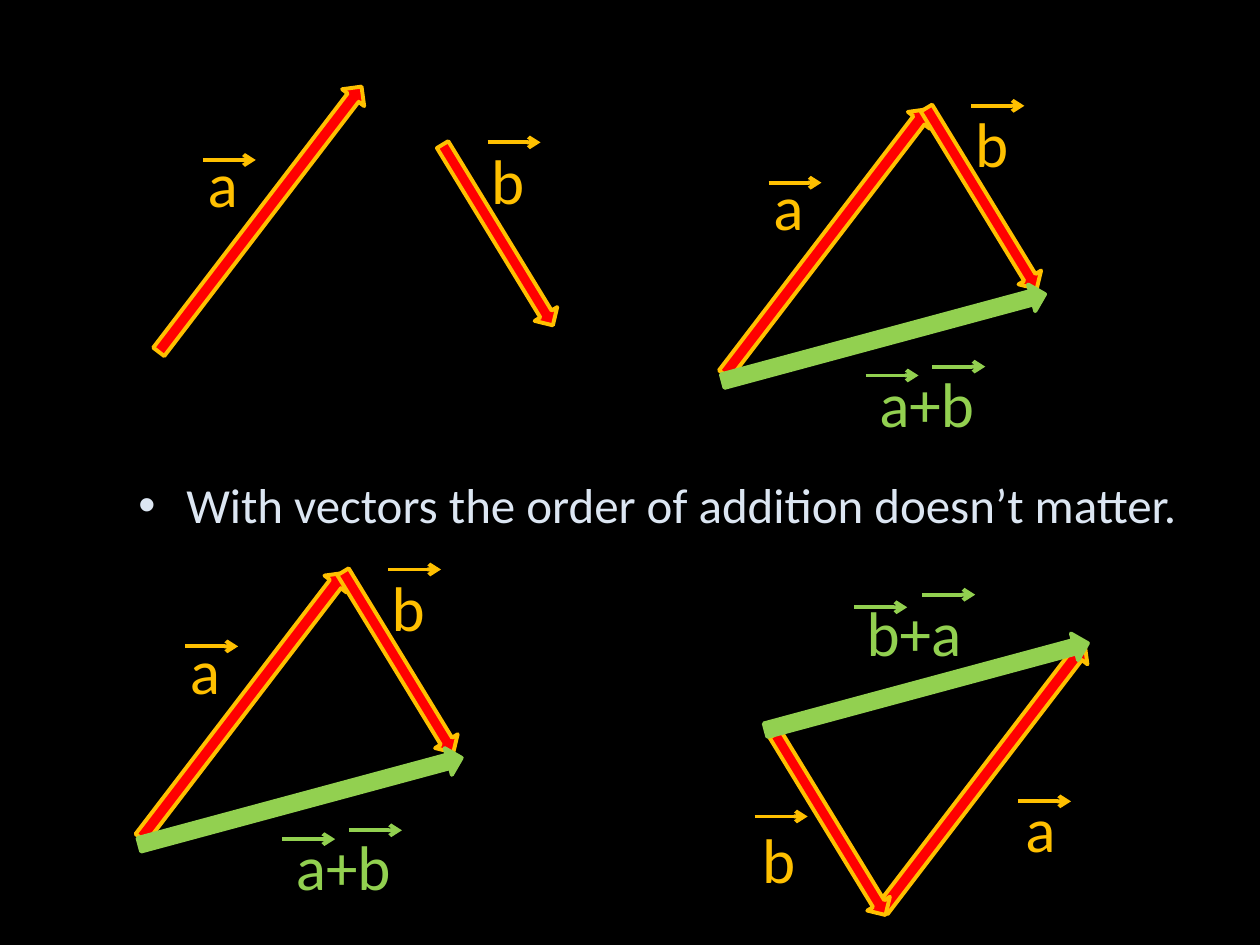
from lxml import etree
from pptx import Presentation
from pptx.dml.color import RGBColor
from pptx.enum.shapes import MSO_CONNECTOR, MSO_SHAPE
from pptx.enum.text import MSO_AUTO_SIZE
from pptx.oxml.ns import qn
from pptx.util import Inches, Pt

ARROW = MSO_SHAPE.RIGHT_ARROW
LINE = MSO_CONNECTOR.STRAIGHT
FIT = MSO_AUTO_SIZE.SHAPE_TO_FIT_TEXT
RED, GOLD, GREEN, PALE = "FF0000", "FFC000", "92D050", "DCE6F2"

deck = Presentation()
deck.slide_width, deck.slide_height = Inches(10), Inches(7.5)
COL = deck.slide_width / 10  # the slide is a grid of 10 columns by 7.5 rows


def paint(color, tone):
    color.rgb = RGBColor.from_string(tone)


def write(shapes, text, x, y, wide, high, size, tone, bullet=None):
    """Add a one-line text box with a hanging indent."""
    box = shapes.add_textbox(*(int(n * COL) for n in (x, y, wide, high)))
    frame = box.text_frame
    frame.word_wrap = False
    frame.auto_size = FIT
    para = frame.paragraphs[0]
    props = para._p.get_or_add_pPr()
    props.set("marL", str(Inches(0.38)))
    props.set("indent", str(-Inches(0.38)))
    if bullet:
        etree.SubElement(props, qn("a:buFont")).set("typeface", "Arial")
        etree.SubElement(props, qn("a:buChar")).set("char", bullet)
    else:
        etree.SubElement(props, qn("a:buNone"))
    run = para.add_run()
    run.text = text
    run.font.name = "Calibri"
    run.font.size = Pt(size)
    paint(run.font.color, tone)


slide = deck.slides.add_slide(deck.slide_layouts[6])
slide.background.fill.solid()
paint(slide.background.fill.fore_color, "000000")

# kind: length, height, angle, fill, edge, label width
kinds = {
    "a": (2.65, 0.22, 307.4, RED, GOLD, 0.46),
    "b": (1.68, 0.21, 58.6, RED, GOLD, 0.47),
    "sum": (2.65, 0.22, 344.9, GREEN, GREEN, 0.98),
}

# label text, its offset from the arrow, then the offset of each hat
tag_a = ("a", (0.81, -0.53), (0.87, -0.36))
tag_b = ("b", (0.69, -0.69), (0.76, -0.63))
tag_ab = ("a+b", (1.19, 0.27), (1.18, 0.41), (1.71, 0.34))

# kind, left, top, tag
vectors = [("a", 0.74, 1.63, tag_a), ("b", 3.11, 1.76, tag_b)]
for x, y in ((5.23, 1.81), (0.6, 5.49)):
    vectors += [
        ("a", x, y, tag_a),
        ("b", x + 1.72, y - 0.34, tag_b),
        ("sum", x + 0.46, y + 0.76, tag_ab),
    ]
vectors += [
    ("a", 6.48, 6.06, ("a", (1.56, 0.16), (1.6, 0.3))),
    ("b", 5.75, 6.44, ("b", (0.2, 0.02), (0.24, 0.04))),
    ("sum", 6.03, 5.34, ("b+a", (0.75, -0.68), (0.75, -0.52), (1.29, -0.62))),
]

for kind, x, y, (text, (dx, dy), *hats) in vectors:
    wide, high, angle, fill, edge, room = kinds[kind]
    group = slide.shapes.add_group_shape().shapes
    arrow = group.add_shape(ARROW, *(int(n * COL) for n in (x, y, wide, high)))
    arrow.rotation = angle
    arrow.shadow.inherit = False
    arrow.fill.solid()
    paint(arrow.fill.fore_color, fill)
    paint(arrow.line.color, edge)
    arrow.line.width = Pt(2.25)
    write(group, text, x + dx, y + dy, room, 0.71, 36, edge)

    for hx, hy in hats:
        left, top = x + hx, y + hy
        ends = (left, top, left + 0.42, top)
        hat = group.add_connector(LINE, *(int(n * COL) for n in ends))
        paint(hat.line.color, edge)
        hat.line.width = Pt(2.25)
        tail = etree.SubElement(hat.line._get_or_add_ln(), qn("a:tailEnd"))
        tail.set("type", "arrow")
        etree.SubElement(hat._element.spPr, qn("a:effectLst"))

write(slide.shapes, "With vectors the order of addition doesn’t matter.",
      1, 3.72, 8.52, 0.57, 28, PALE, "•")

deck.save("out.pptx")
